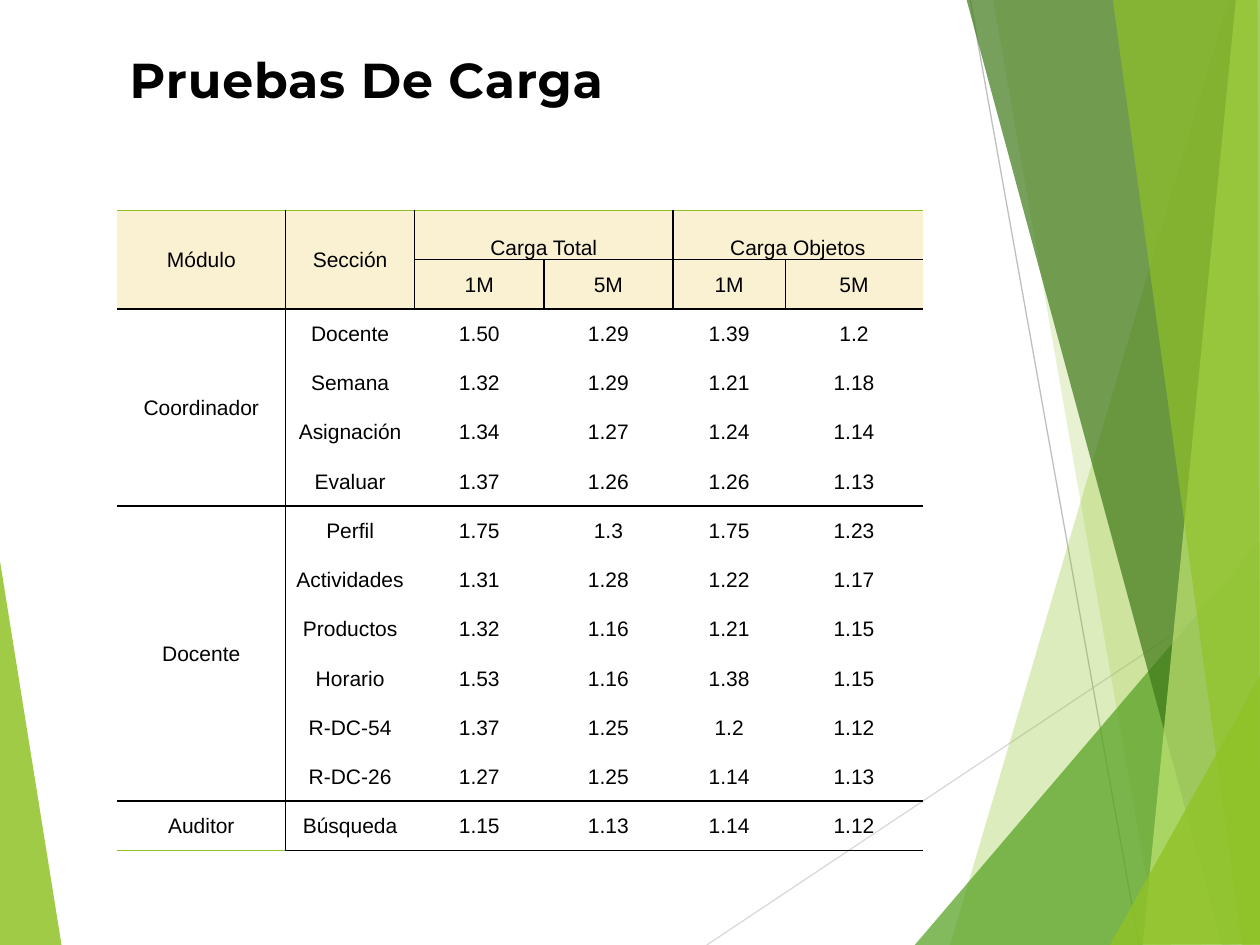
from lxml import etree
from pptx import Presentation
from pptx.dml.color import RGBColor
from pptx.enum.shapes import MSO_CONNECTOR
from pptx.enum.text import MSO_ANCHOR, MSO_AUTO_SIZE, PP_ALIGN
from pptx.oxml.ns import qn
from pptx.util import Pt

STRAIGHT = MSO_CONNECTOR.STRAIGHT
TOP, MIDDLE, BOTTOM = MSO_ANCHOR.TOP, MSO_ANCHOR.MIDDLE, MSO_ANCHOR.BOTTOM
FIT_SHAPE = MSO_AUTO_SIZE.SHAPE_TO_FIT_TEXT
CENTER = PP_ALIGN.CENTER

THEME = {
    "ink": "000000", "header": "FAF1D2", "lime": "90C226", "green": "54A021",
    "forest": "3F7819", "pale": "C0E474", "light_gray": "D9D9D9", "gray": "BFBFBF",
    "title_font": "Montserrat", "body_font": "Arial",
    "title_size": 28, "body_size": 12,
}

TITLE = "Pruebas De Carga"
LOAD_GROUPS = ["Carga Total", "Carga Objetos"]
LOAD_SIZES = ["1M", "5M"]
MODULES = [
    ("Coordinador", [
        ("Docente", "1.50", "1.29", "1.39", "1.2"),
        ("Semana", "1.32", "1.29", "1.21", "1.18"),
        ("Asignación", "1.34", "1.27", "1.24", "1.14"),
        ("Evaluar", "1.37", "1.26", "1.26", "1.13"),
    ]),
    ("Docente", [
        ("Perfil", "1.75", "1.3", "1.75", "1.23"),
        ("Actividades", "1.31", "1.28", "1.22", "1.17"),
        ("Productos", "1.32", "1.16", "1.21", "1.15"),
        ("Horario", "1.53", "1.16", "1.38", "1.15"),
        ("R-DC-54", "1.37", "1.25", "1.2", "1.12"),
        ("R-DC-26", "1.27", "1.25", "1.14", "1.13"),
    ]),
    ("Auditor", [("Búsqueda", "1.15", "1.13", "1.14", "1.12")]),
]

RAYS = [
    ("light_gray", (403.9, 540), (720.7, 329)),
    ("gray", (554.4, 0), (650.9, 540)),
]
FACETS = [
    ("lime", 85, [(-0.7, 316.1), (35.3, 540.7), (-0.7, 540)]),
    ("lime", 30, [(702, 0), (542.9, 540), (721.4, 540.7), (720.7, 0.7)]),
    ("lime", 20, [(567.4, -0.7), (661.7, 540), (720.7, 540), (720.7, -0.7)]),
    ("green", 72, [(522.7, 540), (720, 308.9), (720.7, 540)]),
    ("forest", 70, [(552.2, -0.7), (698.4, 540), (720.7, 539.3), (720.7, -0.7)]),
    ("pale", 70, [(706.3, -0.7), (653, 540), (720.7, 540), (720, -0.7)]),
    ("lime", 65, [(635.8, -0.7), (709.9, 540), (720, 540), (718.6, -0.7)]),
    ("lime", 80, [(634.3, 540), (720.7, 385.2), (720.7, 539.3)]),
]

TABLE_LEFT, TABLE_TOP, ROW_HEIGHT = 66.9, 120.3, 28.13
COLUMN_WIDTHS = [96.3, 73.8, 73.8, 73.8, 64.2, 78.6]
HEADER_ROWS = 2
ROW_COUNT = HEADER_ROWS + sum(len(sections) for _, sections in MODULES)


def rgb(name):
    return RGBColor.from_string(THEME[name])


def write(frame, text, font="body_font", size="body_size", bold=False,
          spacing=None, line_spacing=None):
    paragraph = frame.paragraphs[0]
    paragraph.alignment = CENTER
    if line_spacing:
        paragraph.line_spacing = line_spacing
    run = paragraph.add_run()
    run.text = text
    run.font.name = THEME[font]
    run.font.size = Pt(THEME[size])
    run.font.bold = bold
    run.font.color.rgb = rgb("ink")
    if spacing:
        run.font._element.set("spc", str(int(spacing * 100)))


def add_ray(slide, color, start, end):
    ray = slide.shapes.add_connector(STRAIGHT, *map(Pt, start + end))
    ray.line.color.rgb = rgb(color)
    ray.line.width = Pt(0.75)
    etree.SubElement(ray._element.spPr, qn("a:effectLst"))


def add_facet(slide, color, opacity, corners):
    points = [(Pt(x), Pt(y)) for x, y in corners]
    outline = slide.shapes.build_freeform(*points[0], scale=1.0)
    outline.add_line_segments(points[1:], close=True)
    facet = outline.convert_to_shape()
    facet.shadow.inherit = False
    facet.line.fill.background()
    facet.fill.solid()
    facet.fill.fore_color.rgb = rgb(color)
    tint = facet._element.spPr.find(qn("a:solidFill")).find(qn("a:srgbClr"))
    etree.SubElement(tint, qn("a:alpha"), val=str(opacity * 1000))


def horizontal_rule(row, column, module_ends):
    if row == 0 or (row == ROW_COUNT and column == 0):
        return "lime"
    if row in module_ends or (row == 1 and column >= 2):
        return "ink"
    return None


def vertical_rule(row, column):
    first_row, last_row = {1: (0, ROW_COUNT), 2: (0, 1), 3: (1, 1),
                           4: (0, 1), 5: (1, 1)}.get(column, (0, -1))
    return "ink" if first_row <= row <= last_row else None


def add_border(cell, side, color):
    border = etree.SubElement(cell._tc.get_or_add_tcPr(), qn("a:" + side), w=str(Pt(1)))
    if color:
        fill = etree.SubElement(border, qn("a:solidFill"))
        etree.SubElement(fill, qn("a:srgbClr"), val=THEME[color])
    else:
        etree.SubElement(border, qn("a:noFill"))


def style_cell(cell, row, column, module_ends):
    cell.margin_left = cell.margin_right = cell.margin_top = Pt(0.72)
    cell.margin_bottom = 0
    cell.vertical_anchor = BOTTOM if row == 0 and column >= 2 else MIDDLE
    add_border(cell, "lnL", vertical_rule(row, column))
    add_border(cell, "lnR", vertical_rule(row, column + cell.span_width))
    add_border(cell, "lnT", horizontal_rule(row, column, module_ends))
    add_border(cell, "lnB", horizontal_rule(row + cell.span_height, column, module_ends))
    if row < HEADER_ROWS:
        cell.fill.solid()
        cell.fill.fore_color.rgb = rgb("header")
    else:
        cell.fill.background()


def add_load_table(slide):
    table = slide.shapes.add_table(
        ROW_COUNT, len(COLUMN_WIDTHS), Pt(TABLE_LEFT), Pt(TABLE_TOP),
        Pt(sum(COLUMN_WIDTHS)), Pt(ROW_HEIGHT * ROW_COUNT)).table
    table.first_row = table.horz_banding = False
    for column, width in zip(table.columns, COLUMN_WIDTHS):
        column.width = Pt(width)
    for table_row in table.rows:
        table_row.height = Pt(ROW_HEIGHT)

    def put(row, column, text, rows=1, columns=1):
        cell = table.cell(row, column)
        if rows * columns > 1:
            cell.merge(table.cell(row + rows - 1, column + columns - 1))
        write(cell.text_frame, text)

    for column, heading in enumerate(["Módulo", "Sección"]):
        put(0, column, heading, rows=HEADER_ROWS)
    for group, heading in enumerate(LOAD_GROUPS):
        put(0, 2 + 2 * group, heading, columns=2)
        for offset, load_size in enumerate(LOAD_SIZES):
            put(1, 2 + 2 * group + offset, load_size)

    row = HEADER_ROWS
    module_ends = [row]
    for module, sections in MODULES:
        put(row, 0, module, rows=len(sections))
        for section in sections:
            for column, value in enumerate(section, start=1):
                put(row, column, value)
            row += 1
        module_ends.append(row)

    for row in range(ROW_COUNT):
        for column in range(len(COLUMN_WIDTHS)):
            style_cell(table.cell(row, column), row, column, module_ends)


def main():
    deck = Presentation()
    deck.slide_width, deck.slide_height = Pt(720), Pt(540)
    slide = deck.slides.add_slide(deck.slide_layouts[5])
    for ray in RAYS:
        add_ray(slide, *ray)
    for facet in FACETS:
        add_facet(slide, *facet)
    title = slide.shapes.title
    title.left, title.top, title.width, title.height = map(Pt, (32.4, 31, 354.2, 35.3))
    title.text_frame.word_wrap = True
    title.text_frame.auto_size = FIT_SHAPE
    title.text_frame.vertical_anchor = TOP
    write(title.text_frame, TITLE, font="title_font", size="title_size",
          bold=True, spacing=0.5, line_spacing=0.8)
    add_load_table(slide)
    deck.save("out.pptx")


if __name__ == "__main__":
    main()
